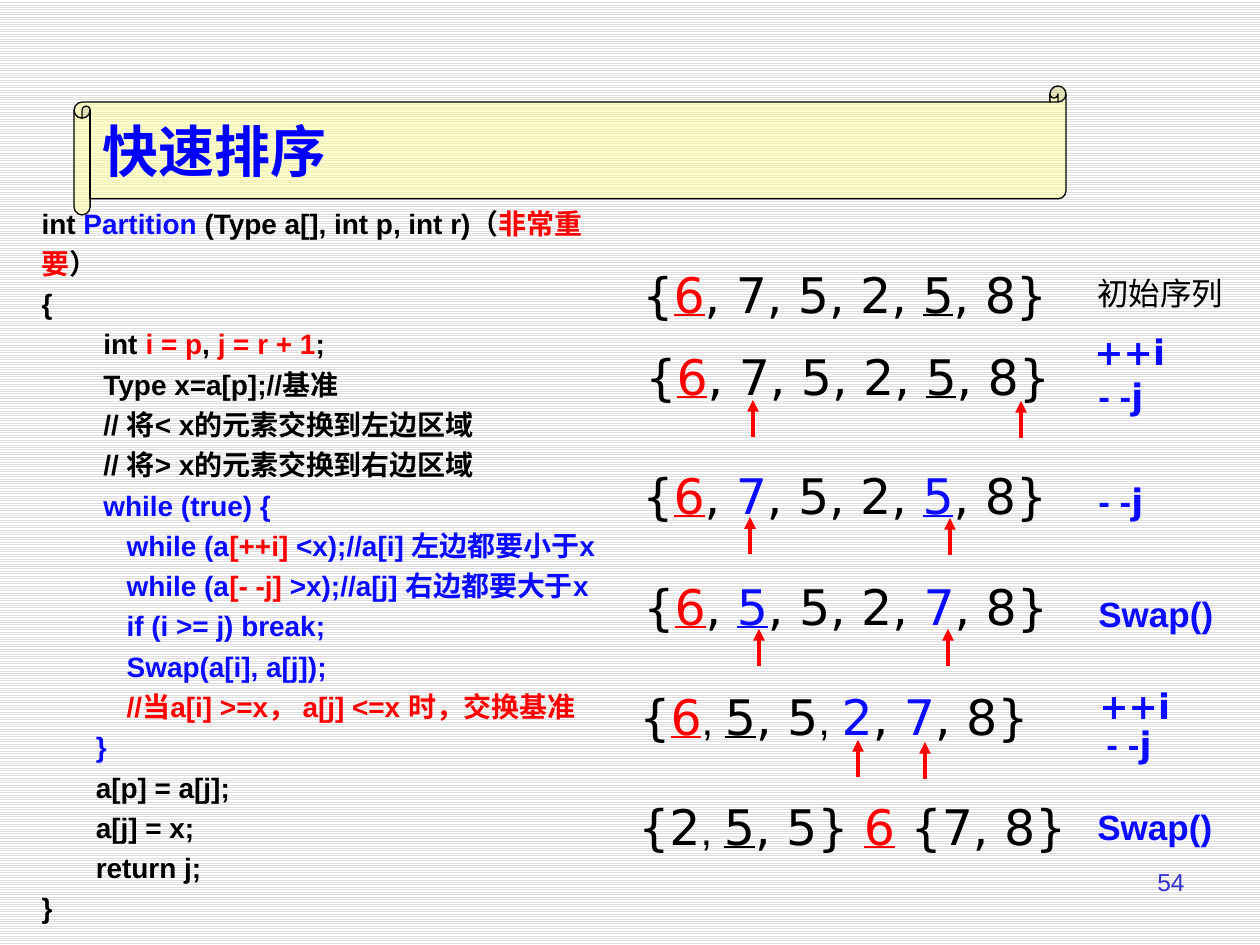
from lxml.etree import SubElement
from pptx import Presentation
from pptx.dml.color import RGBColor
from pptx.enum.dml import MSO_PATTERN as Pattern
from pptx.enum.shapes import MSO_CONNECTOR as Link, MSO_SHAPE as Shape
from pptx.enum.text import MSO_ANCHOR as Anchor, MSO_AUTO_SIZE as Auto, PP_ALIGN as Align
from pptx.oxml.ns import qn
from pptx.util import Pt

SCALE = 914400 / 126
SANS, MONO = "Arial", "DejaVu Sans"
INK = {"k": "000000", "r": "FF0000", "b": "0B0BFF"}

# A run is (text, marks): k, r, b pick the colour, u underlines, s is small.
CODE = [
    [("int ", "k"), ("Partition ", "b"), ("(Type a[], int p, int r)（", "k"),
     ("非常重要", "r"), ("）", "k")],
    [("{", "k")],
    [("        int ", "k"), ("i = p", "r"), (", ", "k"), ("j = r + 1", "r"), (";", "k")],
    [("        Type x=a[p];//基准", "k")],
    [("        // 将< x的元素交换到左边区域", "k")],
    [("        // 将> x的元素交换到右边区域", "k")],
    [("        while (true) {", "b")],
    [("           while (a", "b"), ("[++i] ", "r"), ("<x);//a[i] 左边都要小于x", "b")],
    [("           while (a", "b"), ("[- -j]", "r"), (" >x);//a[j] 右边都要大于x", "b")],
    [("           if (i >= j) break;", "b")],
    [("           Swap(a[i], a[j]);", "b")],
    [("           //当a[i] >=x， a[j] <=x 时，交换基准", "r")],
    [("       }", "b")],
    [("       a[p] = a[j];", "k")],
    [("       a[j] = x;", "k")],
    [("       return j;", "k")],
    [("}", "k")],
]

HEAD = [("{", "k"), ("6", "ru")]
START = HEAD + [(", 7, 5, 2, ", "k"), ("5", "ku"), (", 8}", "k")]
STEPS = [
    (630, 258, 449, START),
    (633, 340, 449, START),
    (630, 459, 449, HEAD + [(", ", "k"), ("7", "b"), (", 5, 2, ", "k"),
                            ("5", "bu"), (", 8}", "k")]),
    (631, 570, 449, HEAD + [(", ", "k"), ("5", "bu"), (", 5, 2, ", "k"),
                            ("7", "b"), (", 8}", "k")]),
    (627, 680, 426, HEAD + [(", ", "ks"), ("5", "ku"), (", 5", "k"), (", ", "ks"),
                            ("2", "b"), (", ", "k"), ("7", "b"), (", 8}", "k")]),
    (626, 790, 464, [("{2", "k"), (", ", "ks"), ("5", "ku"), (", 5} ", "k"),
                     ("6", "ru"), (" {7, 8}", "k")]),
]
TIPS = [(1021, 401), (753, 400), (950, 518), (750, 517),
        (948, 629), (759, 629), (858, 740), (925, 742)]
SWAPS = [(1086, 586), (1085, 799)]
UPS = [(1082, 324), (1087, 678)]
DOWNS = [(1086, 368), (1086, 473), (1094, 716)]


def px(n):
    return round(n * SCALE)


def rgb(code):
    return RGBColor.from_string(code)


class Board:
    """Holds the slide and draws each kind of element on it."""

    def __init__(self, slide):
        self.slide = slide
        self.shapes = slide.shapes

    def back(self):
        fill = self.slide.background.fill
        fill.patterned()
        fill.pattern = Pattern.LIGHT_HORIZONTAL
        fill.fore_color.rgb = rgb("DDDDDD")
        fill.back_color.rgb = rgb("FFFFFF")

    def place(self, shape, x, y, w, h):
        shape.left, shape.top, shape.width, shape.height = map(px, (x, y, w, h))

    def style(self, para, size, face, bold=False):
        font = para.font
        font.size, font.name, font.bold = Pt(size), face, bold

    def fill(self, para, runs):
        """Write marked runs into a paragraph."""
        for text, marks in runs:
            run = para.add_run()
            run.text = text
            font = run.font
            font.color.rgb = rgb(INK[marks[0]])
            if "u" in marks:
                font.underline = True
            if "s" in marks:
                font.size, font.name = Pt(24), SANS

    def text(self, box, runs, size, face, bold=False):
        """Add a one-line text box that does not wrap."""
        shape = self.shapes.add_textbox(*map(px, box))
        frame = shape.text_frame
        frame.word_wrap = False
        frame.auto_size = Auto.SHAPE_TO_FIT_TEXT
        para = frame.paragraphs[0]
        self.style(para, size, face, bold)
        self.fill(para, runs)
        return para

    def title(self, text):
        """Draw the scroll and set the title upon it."""
        roll = self.shapes.add_shape(Shape.HORIZONTAL_SCROLL, *map(px, (74, 86, 992, 129)))
        roll.shadow.inherit = False
        roll.fill.solid()
        roll.fill.fore_color.rgb = rgb("FFFF99")
        tint = roll._element.spPr.find(qn("a:solidFill"))[0]
        SubElement(tint, qn("a:alpha"), val="50000")
        roll.line.color.rgb = rgb(INK["k"])
        roll.line.width = Pt(0.75)

        head = self.shapes.title
        self.place(head, 90, 86, 960, 129)
        roll._element.addnext(head._element)
        frame = head.text_frame
        frame.vertical_anchor = Anchor.MIDDLE
        frame.text = text
        para = frame.paragraphs[0]
        para.alignment = Align.LEFT
        self.style(para, 32, SANS, True)
        para.font.color.rgb = rgb("0000FF")

    def code(self, lines):
        body = self.slide.placeholders[1]
        self.place(body, 29, 210, 617, 704)
        frame = body.text_frame
        frame.word_wrap = True
        frame.auto_size = Auto.SHAPE_TO_FIT_TEXT
        frame.vertical_anchor = Anchor.MIDDLE
        for i, runs in enumerate(lines):
            para = frame.add_paragraph() if i else frame.paragraphs[0]
            props = para._p.get_or_add_pPr()
            props.set("marL", "0")
            props.set("indent", "0")
            SubElement(props, qn("a:buNone"))
            para.line_spacing = 1.2
            para.space_before = Pt(0)
            self.style(para, 16, SANS, True)
            self.fill(para, runs)

    def arrow(self, x, y):
        """Draw an upright arrow with its tip at x, y."""
        line = self.shapes.add_connector(Link.STRAIGHT, px(x), px(y + 37), px(x), px(y))
        line.line.color.rgb = rgb(INK["r"])
        line.line.width = Pt(2.25)
        SubElement(line.line._get_or_add_ln(), qn("a:tailEnd"), type="triangle")
        SubElement(line._element.spPr, qn("a:effectLst"))


def main():
    deck = Presentation()
    deck.slide_width, deck.slide_height = px(1260), px(945)
    board = Board(deck.slides.add_slide(deck.slide_layouts[1]))
    board.back()
    board.code(CODE)
    board.title("快速排序")
    for x, y, w, runs in STEPS:
        board.text((x, y, w, 72), runs, 28, MONO)
    for x, y in TIPS:
        board.arrow(x, y)
    board.text((1085, 268, 151, 50), [("初始序列", "k")], 18, MONO)
    for x, y in SWAPS:
        board.text((x, y, 140, 54), [("Swap()", "b")], 20, SANS, True)
    for x, y in UPS:
        board.text((x, y, 98, 54), [("++i", "b")], 20, MONO, True)
    for x, y in DOWNS:
        para = board.text((x, y, 72, 54), [("- -", "b"), ("j", "b")], 20, SANS, True)
        para.runs[1].font.name = MONO
    page = board.text((903, 861, 294, 63), [("54", "k")], 14, SANS)
    page.alignment = Align.RIGHT
    page.runs[0].font.color.rgb = rgb("3333CC")
    deck.save("out.pptx")


if __name__ == "__main__":
    main()
